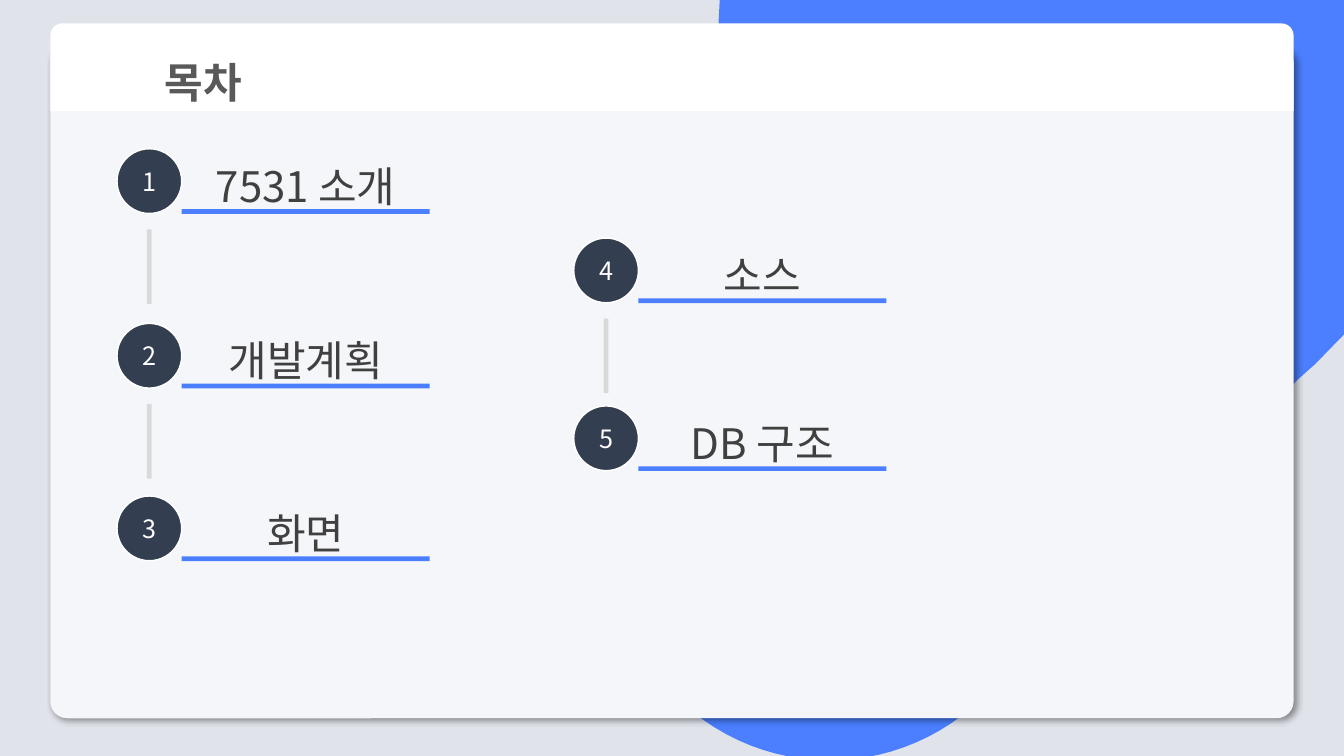
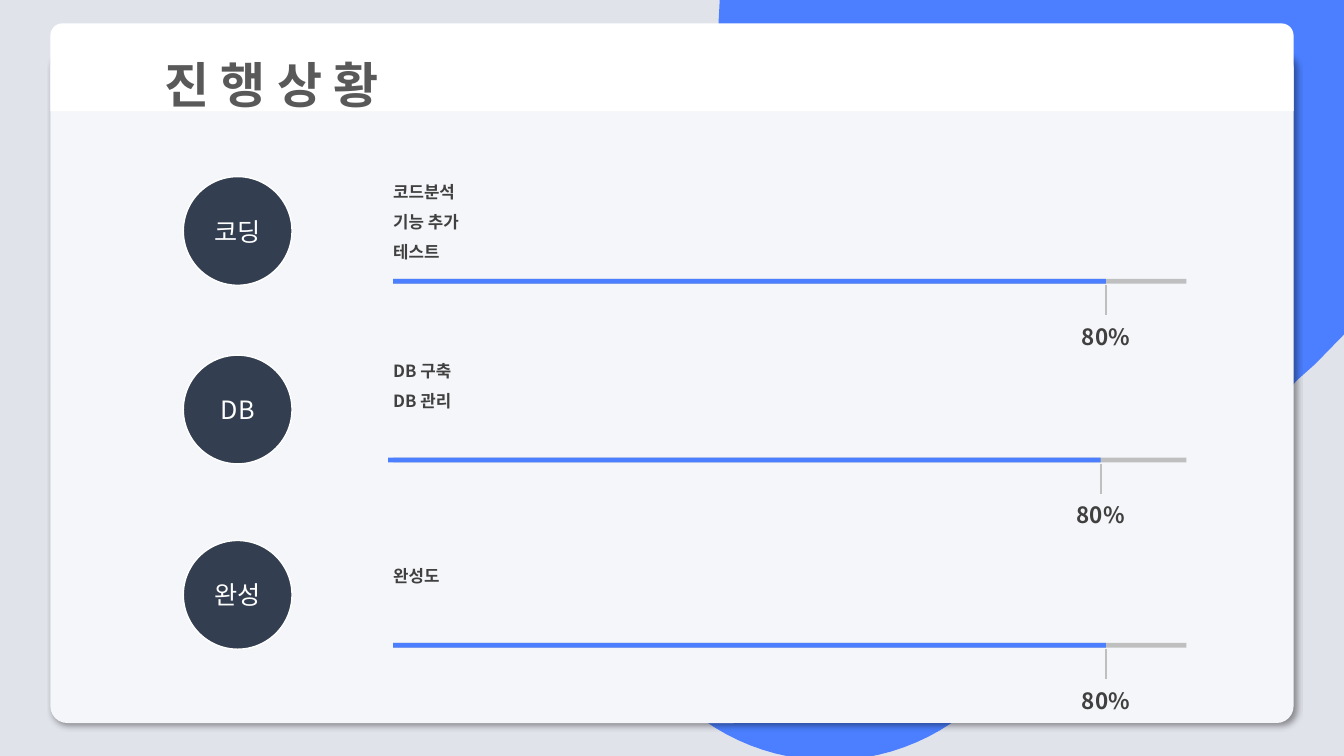
from dataclasses import dataclass

from lxml.etree import SubElement
from pptx import Presentation
from pptx.dml.color import RGBColor
from pptx.enum.shapes import MSO_SHAPE
from pptx.enum.text import MSO_ANCHOR, PP_ALIGN
from pptx.oxml.ns import qn
from pptx.shapes.autoshape import Shape
from pptx.slide import Slide
from pptx.util import Cm, Pt

BACKDROP = RGBColor(0xE1, 0xE3, 0xEB)
BLUE = RGBColor(0x4B, 0x7F, 0xFF)
PANEL = RGBColor(0xF5, 0xF6, 0xF9)
WHITE = RGBColor(0xFF, 0xFF, 0xFF)
NAVY = RGBColor(0x33, 0x3F, 0x50)
TITLE_GRAY = RGBColor(0x59, 0x59, 0x59)
TEXT_GRAY = RGBColor(0x40, 0x40, 0x40)
LINK_GRAY = RGBColor(0xD9, 0xD9, 0xD9)
TRACK_GRAY = RGBColor(0xBF, 0xBF, 0xBF)

FONT = "Noto Sans CJK KR"
PLAIN_TABLE = "{2D5ABB26-0587-4C30-8999-92F81FD0307C}"

TITLE = {"size": Pt(30), "bold": True}
WIDE_TITLE = {"size": Pt(35), "bold": True}
BADGE = {"size": Pt(18)}
ENTRY = {"size": Pt(30)}
TASK = {"size": Pt(12), "bold": True}
PERCENT = {"size": Pt(16), "bold": True}

BLOB_START = (33.87, 0)
BLOB_STEPS = [
    [(33.87, 8.43)], [(33.15, 9.17)], [(32.69, 9.58)], [(32.56, 9.73)],
    [(32.46, 9.88), (32.33, 10.01), (32.18, 10.16)],
    [(24.79, 17.55)],
    [(22.78, 19.56), (19.61, 19.69), (17.45, 17.93)],
    [(17.02, 17.55)], [(16.64, 17.15)],
    [(14.88, 14.99), (15.01, 11.79), (17.02, 9.78)],
    [(20.85, 5.97)], [(19.99, 5.11)],
    [(18.75, 3.84), (18.11, 2.18), (18.11, 0.56)],
    [(18.14, 0)],
]
CURVE_PARTS = 24

COLUMN_1, COLUMN_2 = 2.95, 14.46
BADGE_SIZE = 1.63
ENTRY_WIDTH = 6.25
BAR = 0.12
CIRCLE_SIZE = 2.74
TRACK_LEFT, TRACK_WIDTH, DONE_WIDTH = 9.91, 19.99, 17.96
MARK_WIDTH = 1.73


@dataclass
class Box:
    left: float
    top: float
    width: float
    height: float

    def emu(self) -> tuple:
        return Cm(self.left), Cm(self.top), Cm(self.width), Cm(self.height)


@dataclass
class AgendaItem:
    number: str
    text: str
    left: float
    top: float
    linked: bool


@dataclass
class Progress:
    label: str
    tasks: list[str]
    top: float
    tasks_top: float
    done_left: float = TRACK_LEFT
    percent: str = "80%"


AGENDA = [
    AgendaItem("1", "7531 소개", COLUMN_1, 3.75, True),
    AgendaItem("2", "개발계획", COLUMN_1, 8.15, True),
    AgendaItem("3", "화면", COLUMN_1, 12.5, False),
    AgendaItem("4", "소스", COLUMN_2, 6, True),
    AgendaItem("5", "DB 구조", COLUMN_2, 10.23, False),
]
PROGRESS = [
    Progress("코딩", ["코드분석", "기능 추가", "테스트"], 4.45, 4.19),
    Progress("DB", ["DB 구축", "DB 관리"], 8.95, 8.71, done_left=9.78),
    Progress("완성", ["완성도"], 13.62, 13.87),
]


def write(tf, lines: list[str], fmt: dict, color: RGBColor,
          align=PP_ALIGN.LEFT, spacing: float = 1.0) -> None:
    tf.word_wrap = True
    for i, line in enumerate(lines):
        p = tf.add_paragraph() if i else tf.paragraphs[0]
        p.alignment = align
        p.line_spacing = spacing
        r = p.add_run()
        r.text = line
        for name, value in {"name": FONT, **fmt}.items():
            setattr(r.font, name, value)
        r.font.color.rgb = color
        SubElement(r._r.get_or_add_rPr(), qn("a:ea"), typeface=FONT)


def paint(sp: Shape, fill: RGBColor) -> Shape:
    sp.shadow.inherit = False
    sp.fill.solid()
    sp.fill.fore_color.rgb = fill
    sp.line.fill.background()
    return sp


def add_shape(s: Slide, kind, box: Box, fill: RGBColor) -> Shape:
    return paint(s.shapes.add_shape(kind, *box.emu()), fill)


def add_text(s: Slide, box: Box, lines: list[str], fmt: dict, align) -> None:
    tf = s.shapes.add_textbox(*box.emu()).text_frame
    write(tf, lines, fmt, TEXT_GRAY, align, 1.5)


def add_circle(s: Slide, left: float, top: float, size: float, label: str) -> None:
    sp = add_shape(s, MSO_SHAPE.OVAL, Box(left, top, size, size), NAVY)
    sp.line.color.rgb = WHITE
    sp.line.width = Pt(1)
    tf = sp.text_frame
    tf.vertical_anchor = MSO_ANCHOR.MIDDLE
    tf.margin_left = tf.margin_right = 0
    write(tf, [label], BADGE, WHITE, PP_ALIGN.CENTER)


def add_blob(s: Slide) -> None:
    points, current = [], BLOB_START
    for step in BLOB_STEPS:
        if len(step) == 1:
            points += step
        else:
            a, b, c = step
            for i in range(1, CURVE_PARTS + 1):
                t = i / CURVE_PARTS
                u = 1 - t
                points.append(tuple(
                    u**3 * w + 3 * u * u * t * x + 3 * u * t * t * y + t**3 * z
                    for w, x, y, z in zip(current, a, b, c)))
        current = step[-1]
    fb = s.shapes.build_freeform(*map(Cm, BLOB_START))
    fb.add_line_segments([(Cm(x), Cm(y)) for x, y in points], close=True)
    paint(fb.convert_to_shape(), BLUE)


def add_shadow(sp: Shape) -> None:
    effects = sp._element.spPr.find(qn("a:effectLst"))
    shadow = SubElement(effects, qn("a:outerShdw"), blurRad=str(Pt(4)),
                        dist=str(Pt(3)), dir="2700000", algn="tl", rotWithShape="0")
    color = SubElement(shadow, qn("a:srgbClr"), val="000000")
    SubElement(color, qn("a:alpha"), val="40000")


def add_frame(prs, title: str, fmt: dict, panel_top: float) -> Slide:
    s = prs.slides.add_slide(prs.slide_layouts[6])
    s.background.fill.solid()
    s.background.fill.fore_color.rgb = BACKDROP
    add_blob(s)
    panel = add_shape(s, MSO_SHAPE.ROUNDED_RECTANGLE,
                      Box(1.27, panel_top, 31.33, 16.94), PANEL)
    panel.adjustments[0] = 0.025
    add_shadow(panel)
    header = add_shape(s, MSO_SHAPE.ROUND_2_SAME_RECTANGLE,
                       Box(1.27, 0.59, 31.33, 2.21), WHITE)
    header.adjustments[0] = 0.137
    tf = header.text_frame
    tf.vertical_anchor = MSO_ANCHOR.MIDDLE
    tf.margin_left = Cm(2.79)
    write(tf, [title], fmt, TITLE_GRAY, spacing=1.5)
    return s


def add_agenda_item(s: Slide, item: AgendaItem) -> None:
    text_left = item.left + BADGE_SIZE
    add_shape(s, MSO_SHAPE.RECTANGLE,
              Box(text_left, item.top + 1.52, ENTRY_WIDTH, BAR), BLUE)
    add_text(s, Box(text_left, item.top - 0.47, ENTRY_WIDTH, 1.93),
             [item.text], ENTRY, PP_ALIGN.CENTER)
    add_circle(s, item.left, item.top, BADGE_SIZE, item.number)
    if item.linked:
        add_shape(s, MSO_SHAPE.RECTANGLE,
                  Box(item.left + (BADGE_SIZE - BAR) / 2, item.top + 2.03, BAR, 1.88),
                  LINK_GRAY)


def add_border(cell, side: str) -> None:
    ln = SubElement(cell._tc.get_or_add_tcPr(), qn(side), w=str(Pt(1.5)))
    fill = SubElement(ln, qn("a:solidFill"))
    SubElement(fill, qn("a:srgbClr"), val=str(TRACK_GRAY))


def add_mark(s: Slide, center: float, top: float, percent: str) -> None:
    box = Box(center - MARK_WIDTH / 2, top, MARK_WIDTH, 1.78)
    table = s.shapes.add_table(2, 2, *box.emu()).table
    table.first_row = table.horz_banding = False
    table._tbl.tblPr.find(qn("a:tableStyleId")).text = PLAIN_TABLE
    for row, height in zip(table.rows, (0.76, 1.02)):
        row.height = Cm(height)
    table.cell(1, 0).merge(table.cell(1, 1))
    for column, side in enumerate(("a:lnR", "a:lnL")):
        cell = table.cell(0, column)
        add_border(cell, side)
        SubElement(cell.text_frame.paragraphs[0]._p, qn("a:endParaRPr"), sz="600")
    for cell in table.iter_cells():
        cell.fill.background()
        for side in ("left", "right", "top", "bottom"):
            setattr(cell, f"margin_{side}", 0)
    cell = table.cell(1, 0)
    cell.vertical_anchor = MSO_ANCHOR.MIDDLE
    write(cell.text_frame, [percent], PERCENT, TEXT_GRAY, PP_ALIGN.CENTER)


def add_progress(s: Slide, item: Progress) -> None:
    bar_top = item.top + 2.58
    for left, width, color in ((TRACK_LEFT, TRACK_WIDTH, TRACK_GRAY),
                               (item.done_left, DONE_WIDTH, BLUE)):
        add_shape(s, MSO_SHAPE.RECTANGLE, Box(left, bar_top, width, BAR), color)
    add_text(s, Box(9.66, item.tasks_top, 10.11, 0.2 + 0.76 * len(item.tasks)),
             item.tasks, TASK, PP_ALIGN.LEFT)
    add_mark(s, item.done_left + DONE_WIDTH, item.top + 2.73, item.percent)
    add_circle(s, 4.62, item.top, CIRCLE_SIZE, item.label)


def main() -> None:
    prs = Presentation()
    prs.slide_width, prs.slide_height = Cm(33.87), Cm(19.05)
    s = add_frame(prs, "목차", TITLE, 1.16)
    for item in AGENDA:
        add_agenda_item(s, item)
    s = add_frame(prs, "진 행 상 황", WIDE_TITLE, 1.28)
    for item in PROGRESS:
        add_progress(s, item)
    prs.save("out.pptx")


if __name__ == "__main__":
    main()
